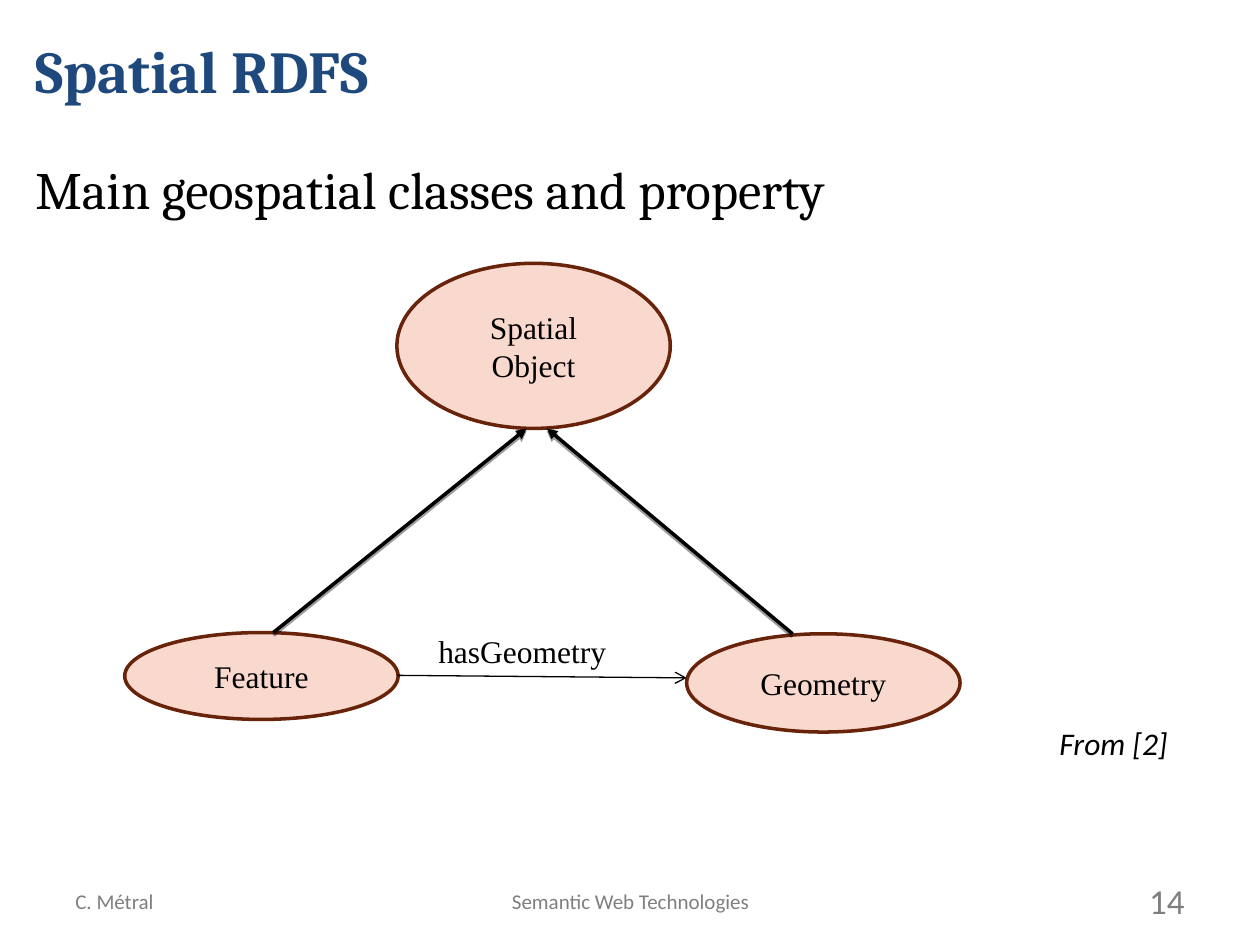
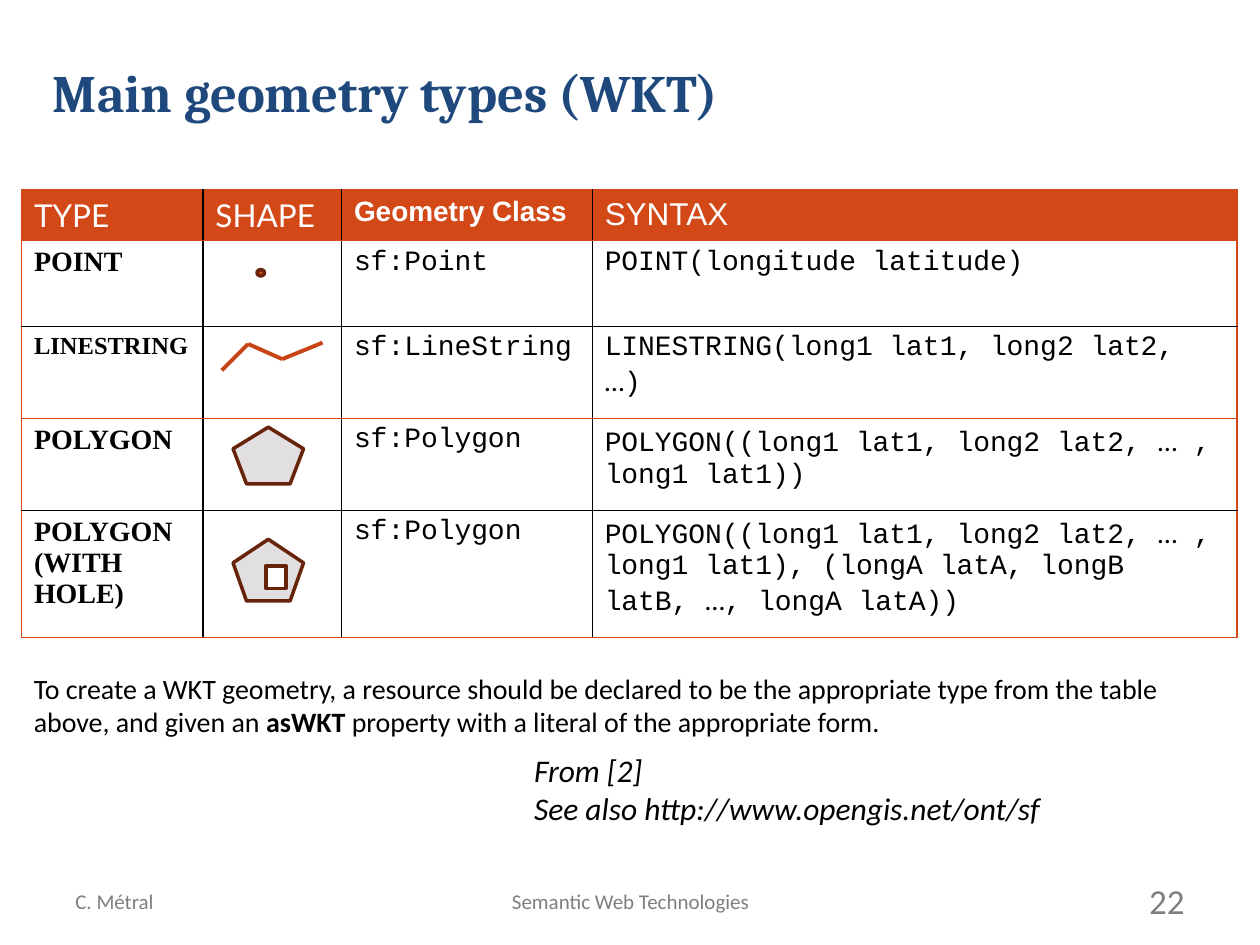
from itertools import pairwise

from lxml.etree import SubElement
from pptx import Presentation
from pptx.dml.color import RGBColor
from pptx.enum.shapes import MSO_CONNECTOR, MSO_SHAPE
from pptx.enum.text import MSO_ANCHOR, MSO_AUTO_SIZE, PP_ALIGN
from pptx.oxml.ns import qn
from pptx.util import Inches, Pt

BLACK = RGBColor(0x00, 0x00, 0x00)
WHITE = RGBColor(0xFF, 0xFF, 0xFF)
NAVY = RGBColor(0x1F, 0x49, 0x7D)
GRAY = RGBColor(0x7F, 0x7F, 0x7F)
ORANGE = RGBColor(0xD3, 0x48, 0x17)
RUST = RGBColor(0xC8, 0x44, 0x16)
BROWN = RGBColor(0x68, 0x23, 0x0B)
PEACH = RGBColor(0xF9, 0xD8, 0xCD)
SILVER = RGBColor(0xE1, 0xDF, 0xDF)

SERIF = "Times New Roman"
MONO = "Courier New"
MIDDLE = MSO_ANCHOR.MIDDLE


def write(frame, text, font, size, color=BLACK, bold=False, italic=False,
          align=PP_ALIGN.LEFT, anchor=MSO_ANCHOR.TOP):
    frame.word_wrap = True
    frame.vertical_anchor = anchor
    para = frame.paragraphs[0]
    para.alignment = align
    for part in text.split("|"):
        para.add_run().text = part
    for span in para.runs:
        span.font.name = font
        span.font.size = Pt(size)
        span.font.color.rgb = color
        span.font.bold = bold
        span.font.italic = italic
    return para


def add_outlined(page, kind, at, fill):
    shape = page.shapes.add_shape(kind, *map(Inches, at))
    shape.shadow.inherit = False
    shape.fill.solid()
    shape.fill.fore_color.rgb = fill
    shape.line.color.rgb = BROWN
    shape.line.width = Pt(2)
    return shape


deck = Presentation()
deck.slide_width = Inches(10)
deck.slide_height = Inches(7.5)

pages = []
for heading, at, color, bold, number in [
    ("Main geospatial classes and property", (0.18, 1.07), BLACK, False, "14"),
    ("Main geometry types (WKT)", (0.32, 0.3), NAVY, True, "22"),
]:
    page = deck.slides.add_slide(deck.slide_layouts[5])
    title = page.shapes.title
    title.left, title.top = map(Inches, at)
    title.width, title.height = Inches(9.32), Inches(0.86)
    title.text_frame.auto_size = MSO_AUTO_SIZE.NONE
    write(title.text_frame, heading, "Cambria", 30, color, bold, anchor=MIDDLE)
    for text, left, width, size, align in [
        ("C. Métral", 0.5, 2.33, 12, PP_ALIGN.LEFT),
        ("Semantic Web Technologies", 3.42, 3.17, 12, PP_ALIGN.CENTER),
        (number, 7.17, 2.33, 20, PP_ALIGN.RIGHT),
    ]:
        box = page.shapes.add_textbox(Inches(left), Inches(6.95), Inches(width), Inches(0.4))
        write(box.text_frame, text, "Calibri", size, GRAY, align=align, anchor=MIDDLE)
    pages.append(page)
classes_page, types_page = pages

for text, at in [
    ("Spatial Object", (3.15, 2.09, 2.17, 1.31)),
    ("Feature", (0.99, 5.02, 2.17, 0.69)),
    ("Geometry", (5.45, 5.03, 2.17, 0.78)),
]:
    ellipse = add_outlined(classes_page, MSO_SHAPE.OVAL, at, PEACH)
    para = write(ellipse.text_frame, text, SERIF, 18, align=PP_ALIGN.CENTER, anchor=MIDDLE)
    para.space_before = Pt(5)

columns = [1.44, 1.1, 1.99, 5.12]
heights = [0.4, 0.68, 0.73, 0.73, 1.01]
header = [("TYPE", "Lato", 18, False), ("SHAPE", "Lato", 18, False),
          ("Geometry Class", "Arial", 16, True), ("SYNTAX", "Arial", 18, False)]
geometries = [
    ("POINT", 16, "sf:Point", "POINT(longitude latitude)"),
    ("LINESTRING", 14, "sf:LineString", "LINESTRING(long1 lat1, long2 lat2, |…|)"),
    ("POLYGON", 16, "sf:Polygon", "POLYGON((long1 lat1, long2 lat2, |…| , long1 lat1))"),
    ("POLYGON (WITH HOLE)", 16, "sf:Polygon",
     "POLYGON((long1 lat1, long2 lat2, |…| , long1 lat1), (longA latA, longB latB, |…|, longA latA))"),
]
rows = [header] + [
    [(kind, SERIF, size, True), None, (name, MONO, 16, False), (syntax, MONO, 16, False)]
    for kind, size, name, syntax in geometries
]
row_rules = [ORANGE, ORANGE, BLACK, ORANGE, BLACK, ORANGE]
column_rules = [(ORANGE, 1), (BLACK, 1), (BLACK, 0.75), (BLACK, 0.75), (ORANGE, 1)]

table = types_page.shapes.add_table(
    len(rows), len(columns), Inches(0.17), Inches(1.51),
    Inches(sum(columns)), Inches(sum(heights))).table
table.first_row = False
table.horz_banding = False
for column, width in zip(table.columns, columns):
    column.width = Inches(width)
for r, (row, height) in enumerate(zip(rows, heights)):
    table.rows[r].height = Inches(height)
    for c, content in enumerate(row):
        cell = table.cell(r, c)
        properties = cell._tc.get_or_add_tcPr()
        for side, (color, weight) in [
            ("L", column_rules[c]), ("R", column_rules[c + 1]),
            ("T", (row_rules[r], 1)), ("B", (row_rules[r + 1], 1)),
        ]:
            border = SubElement(properties, qn("a:ln" + side), w=str(Pt(weight)))
            fill = SubElement(border, qn("a:solidFill"))
            SubElement(fill, qn("a:srgbClr"), val=str(color))
        if r == 0:
            cell.fill.solid()
            cell.fill.fore_color.rgb = ORANGE
        else:
            cell.fill.background()
        if content:
            text, font, size, bold = content
            para = write(cell.text_frame, text, font, size, BLACK if r else WHITE, bold)
            for ellipsis in para.runs[1::2]:
                ellipsis.font.name = "Calibri"

for kind, at, fill in [
    (MSO_SHAPE.OVAL, (2.04, 2.14, 0.06, 0.05), ORANGE),
    (MSO_SHAPE.REGULAR_PENTAGON, (1.85, 3.39, 0.56, 0.45), SILVER),
    (MSO_SHAPE.REGULAR_PENTAGON, (1.85, 4.28, 0.56, 0.49), SILVER),
    (MSO_SHAPE.RECTANGLE, (2.11, 4.49, 0.16, 0.18), WHITE),
]:
    add_outlined(types_page, kind, at, fill)

polyline = [(1.76, 2.94), (1.97, 2.73), (2.24, 2.85), (2.56, 2.72)]
lines = [
    (classes_page, (2.17, 5.02), (4.18, 3.4), BLACK, 2, "triangle"),
    (classes_page, (6.29, 5.03), (4.34, 3.4), BLACK, 2, "triangle"),
    (classes_page, (3.15, 5.36), (5.45, 5.38), BLACK, 0.75, "arrow"),
] + [(types_page, start, end, RUST, 2.25, None) for start, end in pairwise(polyline)]
for page, start, end, color, weight, head in lines:
    line = page.shapes.add_connector(MSO_CONNECTOR.STRAIGHT, *map(Inches, start + end))
    line.line.color.rgb = color
    line.line.width = Pt(weight)
    if head:
        SubElement(line.line._get_or_add_ln(), qn("a:tailEnd"), type=head)
    effects = SubElement(line._element.spPr, qn("a:effectLst"))
    if head == "triangle":
        shadow = SubElement(effects, qn("a:outerShdw"), blurRad="0", dist=str(Pt(1.6)),
                            dir="5400000", rotWithShape="0")
        tint = SubElement(shadow, qn("a:srgbClr"), val=str(BLACK))
        SubElement(tint, qn("a:alpha"), val="38000")

for page, text, at, style in [
    (classes_page, "Spatial RDFS", (0.18, 0.12, 9.32, 0.86),
     dict(font="Cambria", size=34, color=NAVY, bold=True, anchor=MIDDLE)),
    (classes_page, "hasGeometry", (3.38, 4.97, 1.95, 0.52), dict(font=SERIF, size=18)),
    (classes_page, "From [2]", (8.31, 5.7, 1.19, 0.4),
     dict(font="Calibri", size=18, italic=True)),
    (types_page, "From [2]\vSee also http://www.opengis.net/ont/sf", (4.14, 5.91, 5.36, 0.71),
     dict(font="Calibri", size=18, italic=True)),
    (types_page, "To create a WKT geometry, a resource should be declared to be the appropriate "
     "type from the table above, and given an |asWKT| property with a literal of the "
     "appropriate form.", (0.17, 5.28, 9.47, 0.64), dict(font="Calibri", size=16)),
]:
    box = page.shapes.add_textbox(*map(Inches, at))
    first, *more = text.split("\v")
    para = write(box.text_frame, first, **style)
    for extra in more:
        para.add_line_break()
        span = para.add_run()
        span.text = extra
        span.font.name = style["font"]
        span.font.size = Pt(style["size"])
        span.font.color.rgb = BLACK
        span.font.italic = style["italic"]
    for term in para.runs[1::2]:
        term.font.bold = not more

deck.save("out.pptx")
